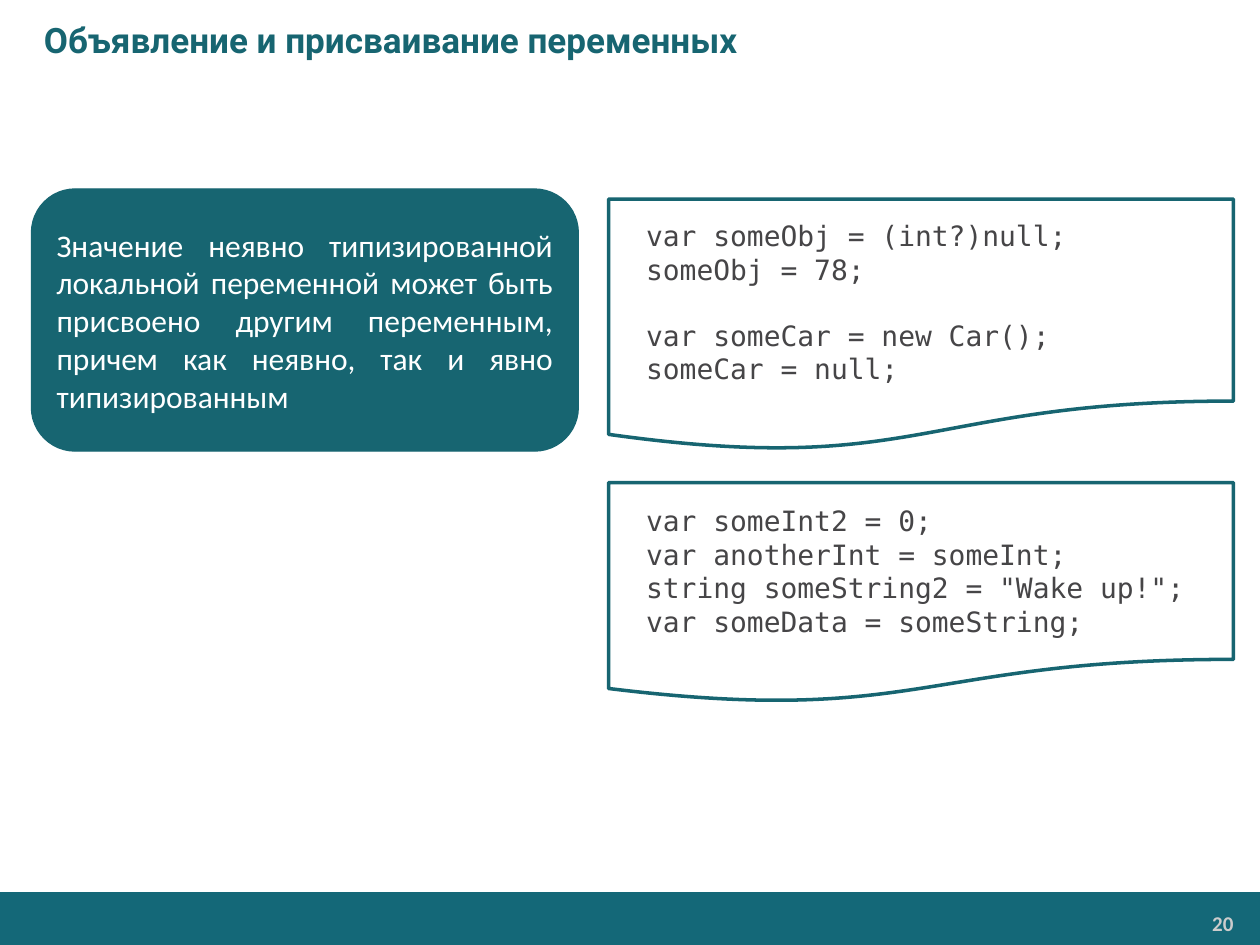
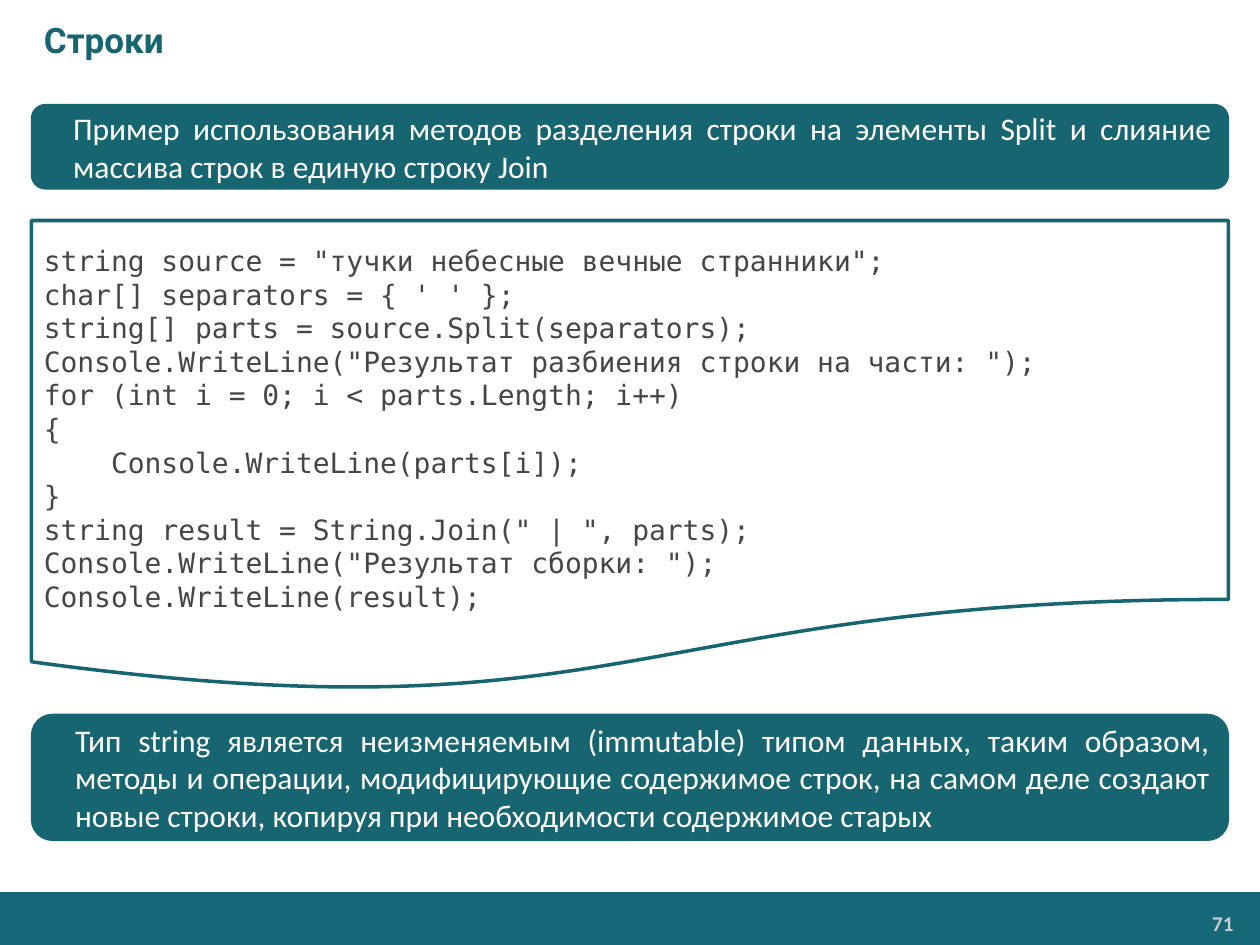
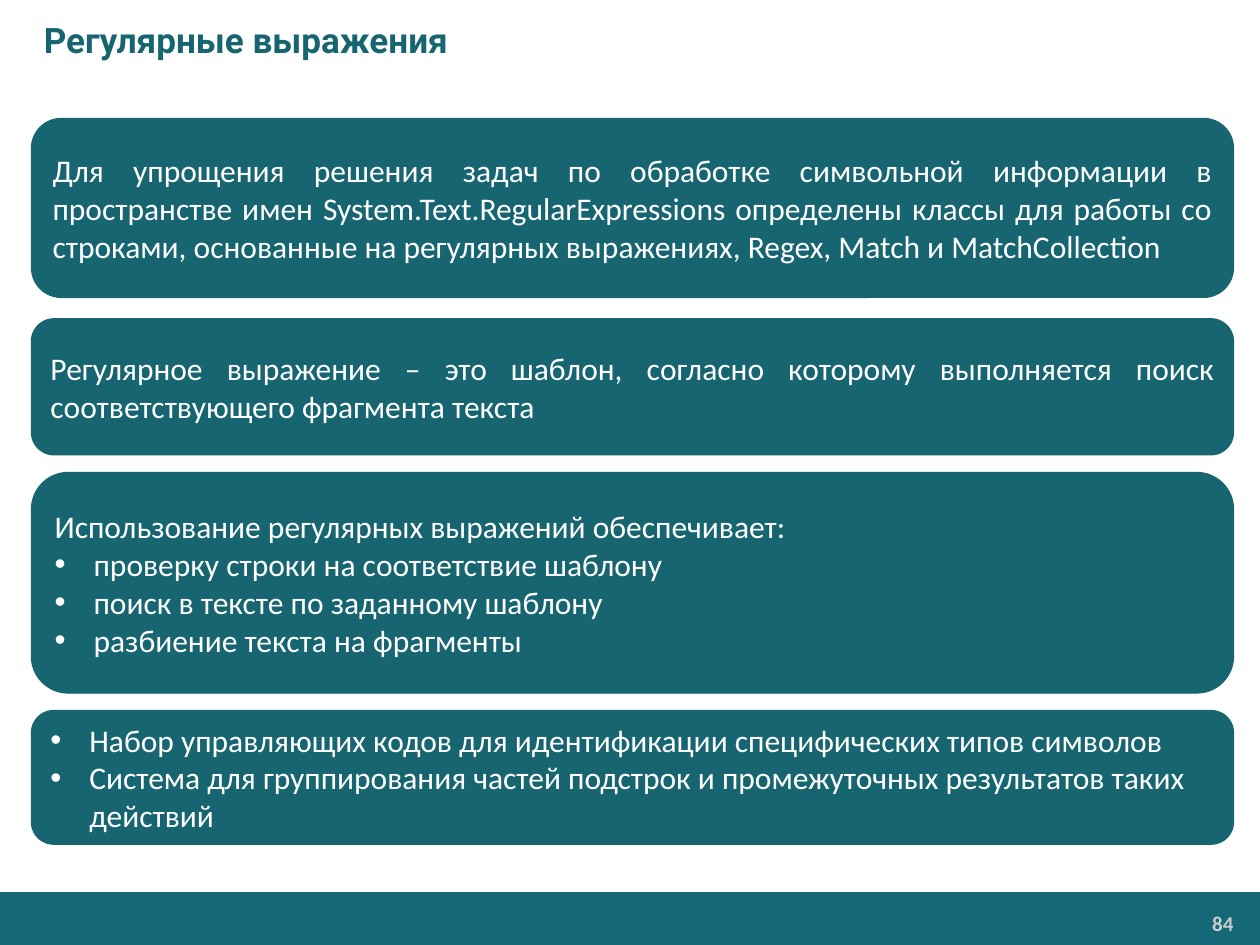
from dataclasses import dataclass

from lxml import etree
from pptx import Presentation
from pptx.dml.color import RGBColor
from pptx.enum.shapes import MSO_SHAPE
from pptx.enum.text import MSO_ANCHOR, PP_ALIGN
from pptx.oxml.ns import qn
from pptx.util import Inches, Pt

RECT = MSO_SHAPE.RECTANGLE
ROUND = MSO_SHAPE.ROUNDED_RECTANGLE
DOCUMENT = MSO_SHAPE.FLOWCHART_DOCUMENT
TOP, MIDDLE = MSO_ANCHOR.TOP, MSO_ANCHOR.MIDDLE
LEFT, RIGHT, JUSTIFY = PP_ALIGN.LEFT, PP_ALIGN.RIGHT, PP_ALIGN.JUSTIFY

COLORS = {
    "teal": "176571",
    "band": "146878",
    "white": "FFFFFF",
    "code": "464547",
    "number": "CCCCCC",
}
FORMATS = {
    "title": {"name": "Roboto", "size": Pt(20), "bold": True, "color": "teal"},
    "number": {"name": "Calibri", "size": Pt(12), "bold": True, "color": "number"},
    "note": {"name": "Calibri", "size": Pt(18), "bold": False, "color": "white"},
    "code": {"name": "DejaVu Sans Mono", "size": Pt(16), "bold": False, "color": "code"},
}
BULLET_INDENT = 0.31
CODE_LINE = Pt(18.6)


@dataclass
class Para:
    text: str
    align: PP_ALIGN = LEFT
    indent: float = 0
    bullet: bool = False
    gap: int = 0


@dataclass
class Note:
    """A filled rounded box with running text."""
    box: tuple[float, float, float, float]
    paras: list[Para]


@dataclass
class Code:
    """A document outline with lines of code; a blank line becomes a gap."""
    box: tuple[float, float, float, float]
    text: str
    indent: float = 0
    top_inset: float = 0.05


@dataclass
class Page:
    title: str
    number: int
    items: list[Note | Code]


def rgb(name: str) -> RGBColor:
    return RGBColor.from_string(COLORS[name])


def add_bullet(p) -> None:
    pPr = p._p.get_or_add_pPr()
    pPr.set("marL", str(Inches(BULLET_INDENT)))
    pPr.set("indent", str(-Inches(BULLET_INDENT)))
    etree.SubElement(pPr, qn("a:buFont")).set("typeface", "Arial")
    etree.SubElement(pPr, qn("a:buChar")).set("char", "•")


def write(shape, paras: list[Para], style: str, anchor: MSO_ANCHOR = MIDDLE) -> None:
    tf = shape.text_frame
    tf.word_wrap = True
    tf.vertical_anchor = anchor
    for i, para in enumerate(paras):
        p = tf.paragraphs[0] if i == 0 else tf.add_paragraph()
        p.alignment = para.align
        if para.gap:
            p.space_before = para.gap
        if para.bullet:
            add_bullet(p)
        elif para.indent:
            p._p.get_or_add_pPr().set("marL", str(Inches(para.indent)))
        r = p.add_run()
        r.text = para.text
        for key, value in FORMATS[style].items():
            if key == "color":
                r.font.color.rgb = rgb(value)
            else:
                setattr(r.font, key, value)


def set_insets(shape, **insets: float) -> None:
    for side, value in insets.items():
        setattr(shape.text_frame, f"margin_{side}", Inches(value))


def add_box(s, kind: MSO_SHAPE, box: tuple, fill: str, line: str = "", width: float = 0):
    sp = s.shapes.add_shape(kind, *map(Inches, box))
    sp.shadow.inherit = False
    sp.fill.solid()
    sp.fill.fore_color.rgb = rgb(fill)
    if line:
        sp.line.color.rgb = rgb(line)
        sp.line.width = Pt(width)
    else:
        sp.line.fill.background()
    return sp


def add_note(s, note: Note) -> None:
    sp = add_box(s, ROUND, note.box, "teal", "teal", 0.75)
    write(sp, note.paras, "note")


def add_code(s, code: Code) -> None:
    sp = add_box(s, DOCUMENT, code.box, "white", "teal", 2)
    set_insets(sp, top=code.top_inset)
    paras, gap = [], 0
    for line in code.text.strip().splitlines():
        if line:
            paras.append(Para(line, indent=code.indent, gap=gap))
        gap = 0 if line else CODE_LINE
    write(sp, paras, "code")


def add_frame(s, page: Page) -> None:
    """Draw the footer band, the page number and the title."""
    add_box(s, RECT, (0, 7.08, 10.01, 0.43), "band")
    number = s.shapes.add_textbox(*map(Inches, (8.23, 7.19, 1.63, 0.28)))
    set_insets(number, left=0.07, top=0.04, right=0.07, bottom=0.04)
    write(number, [Para(str(page.number), RIGHT)], "number", TOP)
    title = s.shapes.add_textbox(*map(Inches, (0, 0, 10, 0.63)))
    write(title, [Para(page.title, indent=0.25)], "title")


NULLABLE_CODE = """
var someObj = (int?)null;
someObj = 78;

var someCar = new Car();
someCar = null;
"""
ASSIGN_CODE = """
var someInt2 = 0;
var anotherInt = someInt;
string someString2 = "Wake up!";
var someData = someString;
"""
SPLIT_CODE = """
string source = "тучки небесные вечные странники";
char[] separators = { ' ' };
string[] parts = source.Split(separators);
Console.WriteLine("Результат разбиения строки на части: ");
for (int i = 0; i < parts.Length; i++)
{
    Console.WriteLine(parts[i]);
}
string result = String.Join(" | ", parts);
Console.WriteLine("Результат сборки: ");
Console.WriteLine(result);
"""

PAGES = [
    Page("Объявление и присваивание переменных", 20, [
        Code((4.83, 3.83, 4.96, 1.75), ASSIGN_CODE, indent=0.2),
        Note((0.25, 1.5, 4.34, 2.08), [Para(
            "Значение неявно типизированной локальной переменной может быть "
            "присвоено другим переменным, причем как неявно, так и явно "
            "типизированным", JUSTIFY)]),
        Code((4.83, 1.58, 4.96, 2), NULLABLE_CODE, indent=0.2, top_inset=0.08),
    ]),
    Page("Строки", 71, [
        Code((0.25, 1.75, 9.5, 3.75), SPLIT_CODE, top_inset=0.34),
        Note((0.25, 0.83, 9.5, 0.67), [Para(
            "Пример использования методов разделения строки на элементы Split "
            "и слияние массива строк в единую строку Join", JUSTIFY, 0.2)]),
        Note((0.25, 5.67, 9.5, 1), [Para(
            "Тип string является неизменяемым (immutable) типом данных, таким "
            "образом, методы и операции, модифицирующие содержимое строк, на "
            "самом деле создают новые строки, копируя при необходимости "
            "содержимое старых", JUSTIFY, 0.2)]),
    ]),
    Page("Регулярные выражения", 84, [
        Note((0.25, 0.94, 9.54, 1.42), [Para(
            "Для упрощения решения задач по обработке символьной информации в "
            "пространстве имен System.Text.RegularExpressions определены классы "
            "для работы со строками, основанные на регулярных выражениях, "
            "Regex, Match и MatchCollection", JUSTIFY)]),
        Note((0.25, 2.53, 9.54, 1.08), [Para(
            "Регулярное выражение – это шаблон, согласно которому выполняется "
            "поиск соответствующего фрагмента текста", JUSTIFY)]),
        Note((0.25, 3.75, 9.54, 1.75), [
            Para("Использование регулярных выражений обеспечивает:", JUSTIFY),
            Para("проверку строки на соответствие шаблону", JUSTIFY, bullet=True),
            Para("поиск в тексте по заданному шаблону", JUSTIFY, bullet=True),
            Para("разбиение текста на фрагменты", JUSTIFY, bullet=True),
        ]),
        Note((0.25, 5.64, 9.54, 1.06), [
            Para("Набор управляющих кодов для идентификации специфических типов "
                 "символов", bullet=True),
            Para("Система для группирования частей подстрок и промежуточных "
                 "результатов таких действий", bullet=True),
        ]),
    ]),
]


def main() -> None:
    prs = Presentation()
    prs.slide_width, prs.slide_height = Inches(10), Inches(7.5)
    for page in PAGES:
        s = prs.slides.add_slide(prs.slide_layouts[6])
        add_frame(s, page)
        for item in page.items:
            if isinstance(item, Code):
                add_code(s, item)
            else:
                add_note(s, item)
    prs.save("out.pptx")


if __name__ == "__main__":
    main()
